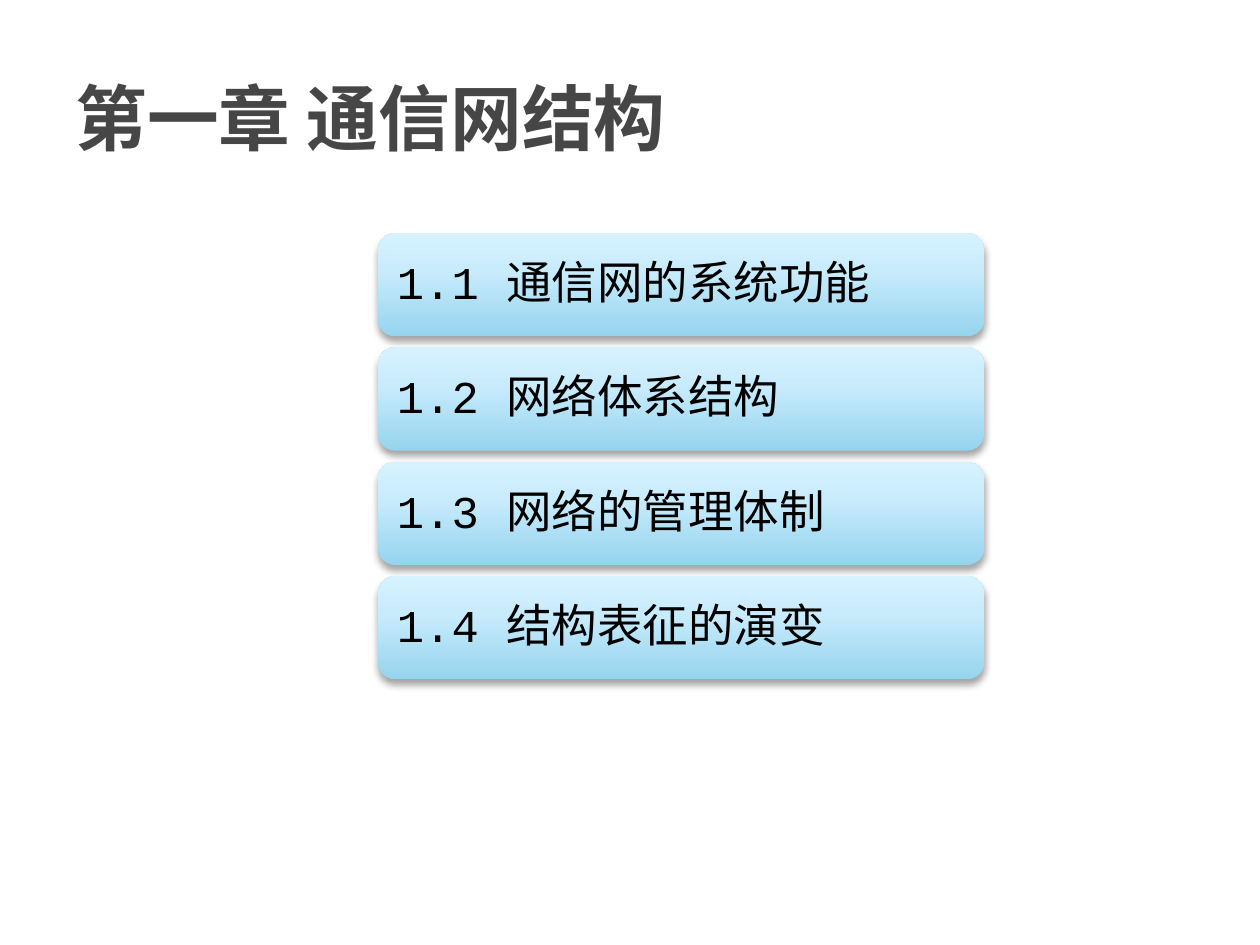
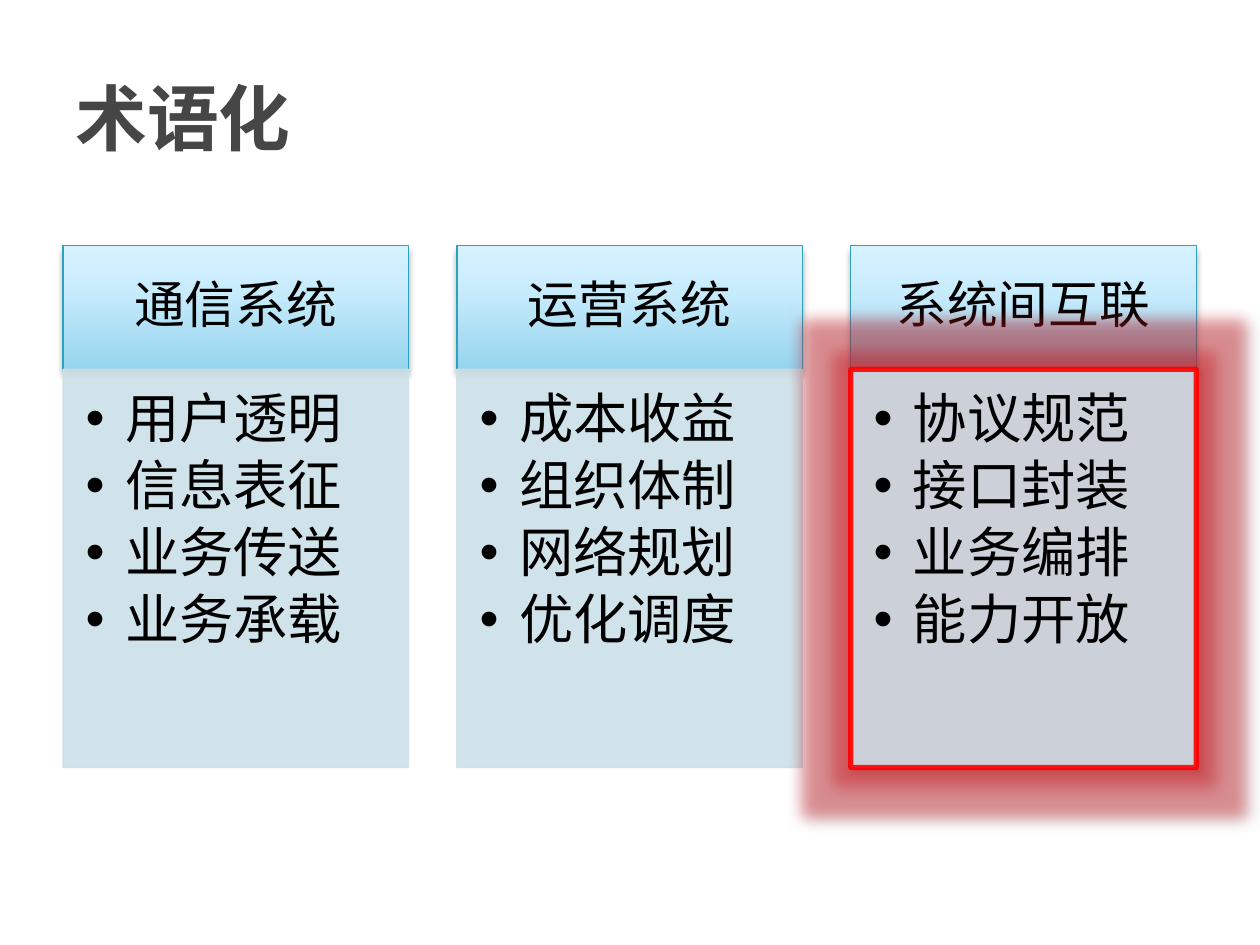
"""Build two slides on the structure of communication networks."""
import lxml.etree
import pptx
import pptx.dml.color
import pptx.enum.shapes
import pptx.enum.text
import pptx.oxml.ns
import pptx.util

Pt = pptx.util.Pt
SHAPE = pptx.enum.shapes.MSO_SHAPE
ALIGN = pptx.enum.text.PP_ALIGN
ANCHOR = pptx.enum.text.MSO_ANCHOR
FONT = "Courier New"
COLORS = {
    "title": "464646", "text": "000000", "shade": "000000",
    "deep": "96D4EE", "mid": "C9ECFC", "pale": "D7F2FF",
    "edge": "2DA2BF", "panel": "CDE0E8", "alert": "FF0000", "glow": "DA1F28",
}
STOPS = ((0, "deep"), (65, "mid"), (100, "pale"))
TITLE = (36, 21.6, 648, 90)
TOPICS = ("1.1 通信网的系统功能", "1.2 网络体系结构",
          "1.3 网络的管理体制", "1.4 结构表征的演变")
TERMS = (
    ("通信系统", ("用户透明", "信息表征", "业务传送", "业务承载")),
    ("运营系统", ("成本收益", "组织体制", "网络规划", "优化调度")),
    ("系统间互联", ("协议规范", "接口封装", "业务编排", "能力开放")),
)


def color(name):
    return pptx.dml.color.RGBColor.from_string(COLORS[name])


def add(parent, tag, **attrs):
    """Append a drawing element with the given attributes."""
    node = lxml.etree.SubElement(parent, pptx.oxml.ns.qn("a:" + tag))
    for key, value in attrs.items():
        node.set(key, str(value))
    return node


def tint(parent, name, alpha=100):
    node = add(parent, "srgbClr", val=COLORS[name])
    if alpha < 100:
        add(node, "alpha", val=alpha * 1000)


def block(slide, kind, box):
    """Add a preset shape with no shadow and no line."""
    shape = slide.shapes.add_shape(kind, *map(Pt, box))
    shape.shadow.inherit = False
    shape.line.fill.background()
    return shape


def shine(shape):
    """Fill a shape with the blue gradient, deepest at its foot."""
    shape.fill.gradient()
    grad = shape._element.spPr.find(pptx.oxml.ns.qn("a:gradFill"))
    for node in list(grad):
        grad.remove(node)
    stops = add(grad, "gsLst")
    for place, name in STOPS:
        tint(add(stops, "gs", pos=place * 1000), name)
    add(grad, "lin", ang=270 * 60000, scaled=0)


def shadow(shape, alpha=35, angle=90, glow=0):
    """Add a soft shadow, and a red glow of the given radius if any."""
    effects = shape._element.spPr.find(pptx.oxml.ns.qn("a:effectLst"))
    if glow:
        tint(add(effects, "glow", rad=Pt(glow)), "glow", 40)
    drop = add(effects, "outerShdw", blurRad=Pt(4), dist=Pt(3),
               dir=angle * 60000, algn="ctr", rotWithShape=0)
    tint(drop, "shade", alpha)


def border(shape, name, width):
    shape.line.color.rgb = color(name)
    shape.line.width = Pt(width)


def fade(spot):
    """Make the solid fill found under an element nine tenths opaque."""
    node = spot.find(pptx.oxml.ns.qn("a:solidFill"))[0]
    add(node, "alpha", val=90000)


def setup(shape, anchor, insets):
    """Prepare the text frame of a shape; insets run left, top, right, bottom."""
    frame = shape.text_frame
    frame.word_wrap = True
    frame.vertical_anchor = anchor
    sides = ("left", "top", "right", "bottom")
    for side, inset in zip(sides, insets):
        setattr(frame, "margin_" + side, Pt(inset))
    return frame


def write(para, text, size, align=ALIGN.LEFT, name="text", bold=False):
    para.alignment = align
    run = para.add_run()
    run.text = text
    run.font.name = FONT
    run.font.size = Pt(size)
    run.font.bold = bold
    run.font.color.rgb = color(name)


def space(para, after):
    """Tighten lines and set the space after as a percentage."""
    para.line_spacing = 0.9
    props = para._p.get_or_add_pPr()
    add(add(props, "spcAft"), "spcPct", val=after * 1000)
    return props


def title(slide, box, text):
    label = slide.shapes.add_textbox(*map(Pt, box))
    frame = setup(label, ANCHOR.MIDDLE, (7.2, 3.6, 7.2, 3.6))
    write(frame.paragraphs[0], text, 41, name="title", bold=True)


def topic(slide, box, text):
    """Draw one rounded bar of the chapter list."""
    bar = block(slide, SHAPE.ROUNDED_RECTANGLE, box)
    shine(bar)
    shadow(bar)
    para = setup(bar, ANCHOR.MIDDLE, (8, 8, 8, 8)).paragraphs[0]
    space(para, 35)
    write(para, text, 26)


def header(slide, box, text):
    """Draw the gradient head of a column."""
    head = block(slide, SHAPE.RECTANGLE, box)
    shine(head)
    border(head, "edge", 0.75)
    shadow(head)
    para = setup(head, ANCHOR.MIDDLE, (16.5, 9.5, 16.5, 9.5)).paragraphs[0]
    space(para, 35)
    write(para, text, 29, ALIGN.CENTER)


def panel(slide, box, items, alert):
    """Draw the bulleted body of a column, glowing red on alert."""
    body = block(slide, SHAPE.RECTANGLE, box)
    body.fill.solid()
    body.fill.fore_color.rgb = color("panel")
    border(body, *(("alert", 3) if alert else ("panel", 0.75)))
    props = body._element.spPr
    fade(props)
    fade(props.find(pptx.oxml.ns.qn("a:ln")))
    if alert:
        shadow(body, 40, 45, glow=18)
    frame = setup(body, ANCHOR.TOP, (13, 13, 17, 19))
    for index, item in enumerate(items):
        para = frame.add_paragraph() if index else frame.paragraphs[0]
        props = space(para, 15)
        props.set("marL", str(Pt(22.5)))
        props.set("indent", str(Pt(-22.5)))
        add(props, "buFont", typeface="Arial")
        add(props, "buChar", char="•")
        write(para, item, 31)


def column(slide, box, name, items, alert):
    left, top, width, height = box
    head = 70.6
    header(slide, (left, top, width, head), name)
    panel(slide, (left, top + head, width, height - head), items, alert)


def outline(slide, box):
    """Stack the chapter topics at equal steps in the box."""
    title(slide, TITLE, "第一章 通信网结构")
    left, top, width, height = box
    bar = 59
    step = (height - bar) / (len(TOPICS) - 1)
    for index, text in enumerate(TOPICS):
        topic(slide, (left, top + index * step, width, bar), text)


def terms(slide, box):
    """Set the term columns side by side in the box."""
    title(slide, TITLE, "术语化")
    left, top, width, height = box
    wide = 197.4
    step = (width - wide) / (len(TERMS) - 1)
    for index, (name, items) in enumerate(TERMS):
        place = (left + index * step, top, wide, height)
        column(slide, place, name, items, index == len(TERMS) - 1)


def main():
    deck = pptx.Presentation()
    deck.slide_width, deck.slide_height = Pt(720), Pt(540)
    blank = deck.slide_layouts[6]
    outline(deck.slides.add_slide(blank), (216, 133.2, 346.4, 255))
    terms(deck.slides.add_slide(blank), (36, 140.4, 647.6, 298.2))
    deck.save("out.pptx")


if __name__ == "__main__":
    main()
